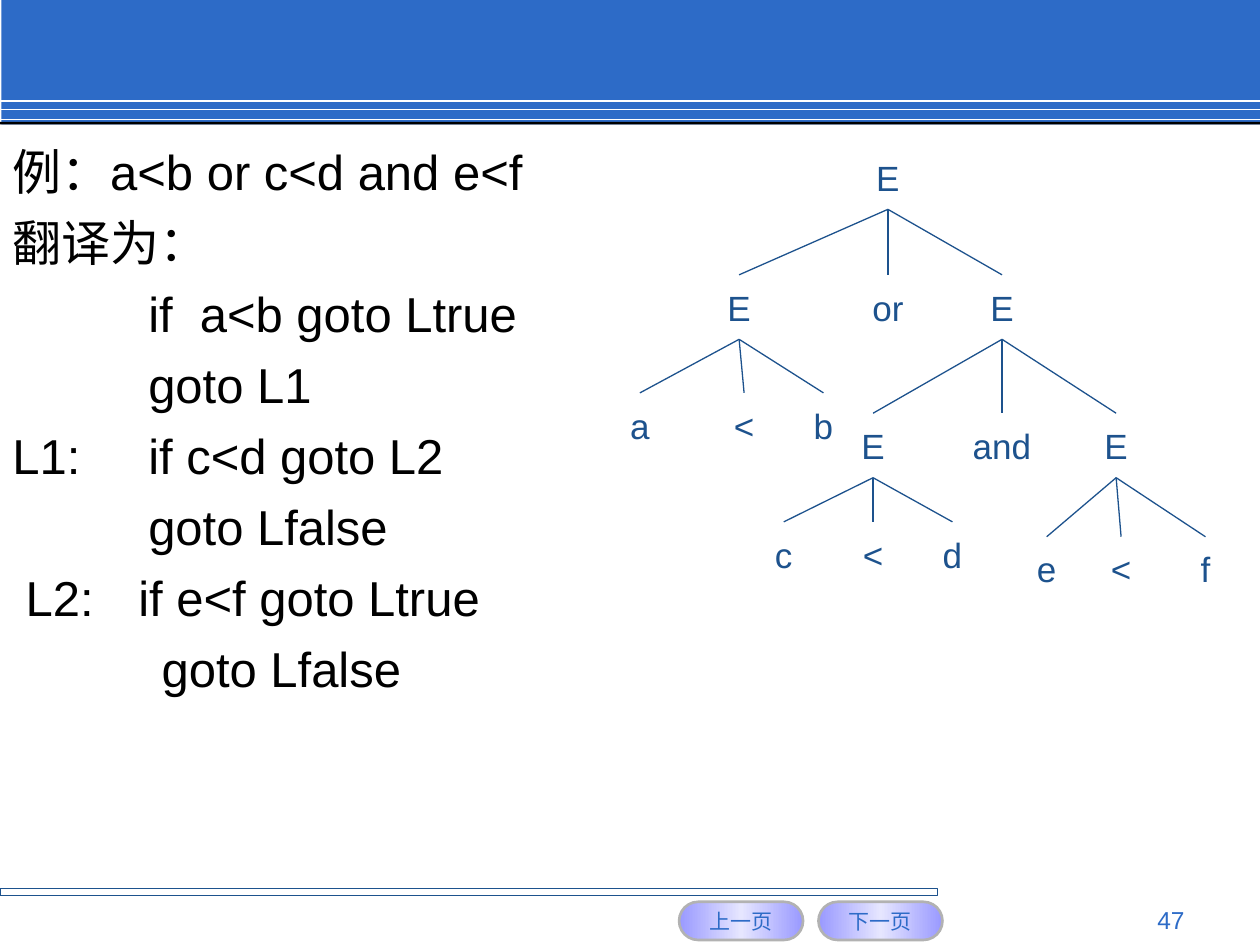
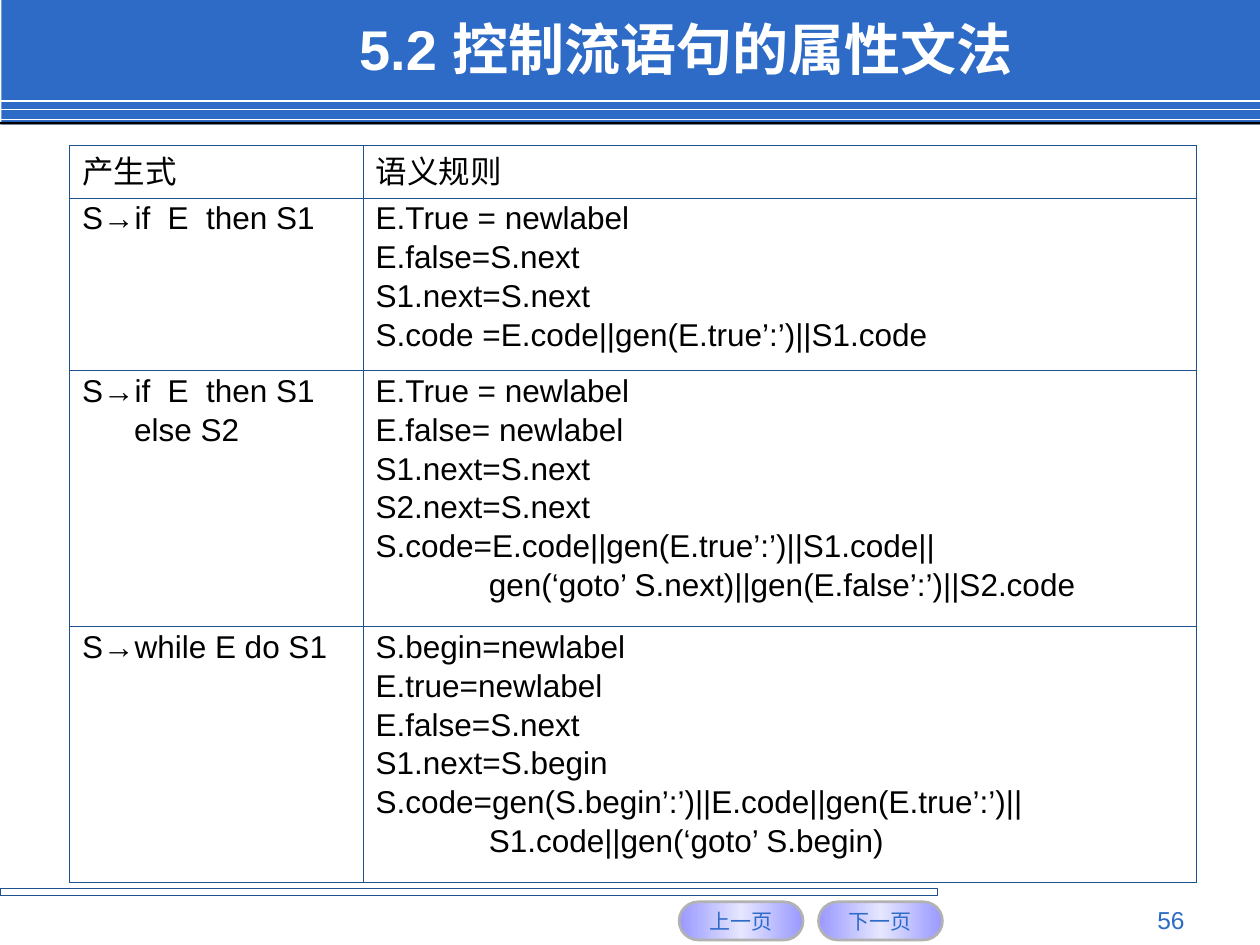
from dataclasses import dataclass
from typing import NamedTuple

from lxml.etree import SubElement
from pptx import Presentation
from pptx.dml.color import RGBColor
from pptx.enum.shapes import MSO_CONNECTOR as Connector, MSO_SHAPE as Preset
from pptx.enum.text import MSO_ANCHOR as Anchor, PP_ALIGN as Align
from pptx.oxml.ns import qn
from pptx.util import Cm, Pt

BLUE, NAVY, WHITE, BLACK = "2D6BC7", "1D528D", "FFFFFF", "000000"
LILAC, PALE_LILAC, GREY = "9999FF", "E6E6FF", "B2B2B2"
LATIN_FONT, CHINESE_FONT = "Arial", "Noto Sans CJK SC"
PAGE_WIDTH, PAGE_HEIGHT = 25.4, 19.05
NODE_WIDTH, NODE_HEIGHT = 2.2, 1.3


class Area(NamedTuple):
    """Left, top, width and height in centimetres."""
    left: float
    top: float
    width: float
    height: float

    def lengths(self) -> list:
        return [Cm(value) for value in self]


class Line(NamedTuple):
    """One paragraph with its first-line indent in centimetres."""
    text: str
    indent: float = 0


@dataclass
class Node:
    """A tree label: horizontal centre and top in centimetres."""
    label: str
    center: float
    top: float
    children: tuple = ()


def leaves(labels: str, centers: tuple, top: float) -> tuple:
    return tuple(Node(label, center, top)
                 for label, center in zip(labels, centers))


TREE = Node("E", 17.9, 2.92, (
    Node("E", 14.9, 5.54, leaves("a<b", (12.9, 15, 16.6), 7.92)),
    Node("or", 17.9, 5.54),
    Node("E", 20.2, 5.54, (
        Node("E", 17.6, 8.33, leaves("c<d", (15.8, 17.6, 19.2), 10.52)),
        Node("and", 20.2, 8.33),
        Node("E", 22.5, 8.33, leaves("e<f", (21.1, 22.6, 24.3), 10.82)),
    )),
))

CODE_INDENT = 2.74
EXAMPLE_LINES = [
    Line("例：a<b or c<d and e<f"),
    Line("翻译为："),
    Line("if  a<b goto Ltrue", CODE_INDENT),
    Line("goto L1", CODE_INDENT),
    Line("L1:\tif c<d goto L2"),
    Line("goto Lfalse", CODE_INDENT),
    Line("L2:\tif e<f goto Ltrue", 0.27),
    Line("goto Lfalse", CODE_INDENT + 0.27),
]

RULE_INDENT = 2.28
GRAMMAR_ROWS = [
    ([Line("产生式")], [Line("语义规则")]),
    ([Line("S→if  E  then S1")],
     [Line("E.True = newlabel"),
      Line("E.false=S.next"),
      Line("S1.next=S.next"),
      Line("S.code =E.code||gen(E.true’:’)||S1.code")]),
    ([Line("S→if  E  then S1"), Line("else S2", 1.05)],
     [Line("E.True = newlabel"),
      Line("E.false= newlabel"),
      Line("S1.next=S.next"),
      Line("S2.next=S.next"),
      Line("S.code=E.code||gen(E.true’:’)||S1.code||"),
      Line("gen(‘goto’ S.next)||gen(E.false’:’)||S2.code", RULE_INDENT)]),
    ([Line("S→while E do S1")],
     [Line("S.begin=newlabel"),
      Line("E.true=newlabel"),
      Line("E.false=S.next"),
      Line("S1.next=S.begin"),
      Line("S.code=gen(S.begin’:’)||E.code||gen(E.true’:’)||"),
      Line("S1.code||gen(‘goto’ S.begin)", RULE_INDENT)]),
]
COLUMN_WIDTHS = (5.92, 16.79)
ROW_HEIGHTS = (1.07, 3.48, 5.16, 5.16)


def color(value: str) -> RGBColor:
    return RGBColor.from_string(value)


def write_text(frame, lines: list, *, size: float, fill: str = BLACK,
               bold: bool = False, align=Align.LEFT, spacing=None,
               before: float = 0, tab: float = 0) -> None:
    for index, line in enumerate(lines):
        para = frame.paragraphs[0] if index == 0 else frame.add_paragraph()
        properties = para._p.get_or_add_pPr()
        if line.indent:
            properties.set("marL", "0")
            properties.set("indent", str(Cm(line.indent)))
        para.alignment = align
        if spacing:
            para.line_spacing = spacing
        if before and index:
            para.space_before = Pt(before)
        if tab:
            stops = SubElement(properties, qn("a:tabLst"))
            SubElement(stops, qn("a:tab"), pos=str(Cm(tab)), algn="l")
        span = para.add_run()
        span.text = line.text
        span.font.size = Pt(size)
        span.font.bold = bold
        span.font.color.rgb = color(fill)
        span.font.name = LATIN_FONT
        SubElement(span._r.get_or_add_rPr(), qn("a:ea"), typeface=CHINESE_FONT)


def add_text(page, area: Area, lines: list, *, anchor=Anchor.TOP,
             **text_format):
    frame = page.shapes.add_textbox(*area.lengths()).text_frame
    frame.word_wrap = True
    frame.vertical_anchor = anchor
    write_text(frame, lines, **text_format)
    return frame


def add_line(page, start: tuple, end: tuple, stroke: str, width: float) -> None:
    points = [Cm(value) for value in (*start, *end)]
    line = page.shapes.add_connector(Connector.STRAIGHT, *points)
    line.line.color.rgb = color(stroke)
    line.line.width = Pt(width)
    SubElement(line._element.spPr, qn("a:effectLst"))


def add_box(page, area: Area, *, preset=Preset.RECTANGLE, fill: str = "",
            stroke: str = "", width: float = 0.75):
    box = page.shapes.add_shape(preset, *area.lengths())
    box.shadow.inherit = False
    if fill:
        box.fill.solid()
        box.fill.fore_color.rgb = color(fill)
    else:
        box.fill.background()
    if stroke:
        box.line.color.rgb = color(stroke)
        box.line.width = Pt(width)
    else:
        box.line.fill.background()
    return box


def add_button(page, left: float, label: str) -> None:
    button = add_box(page, Area(left, 18.18, 2.5, 0.77), stroke=GREY,
                     preset=Preset.ROUNDED_RECTANGLE, width=1.5)
    button.adjustments[0] = 0.5
    button.fill.gradient()
    button.fill.gradient_angle = 0
    stops = button._element.spPr.find(".//" + qn("a:gsLst"))
    stops.clear()
    for percent, shade in ((0, LILAC), (50, PALE_LILAC), (100, LILAC)):
        stop = SubElement(stops, qn("a:gs"), pos=str(percent * 1000))
        SubElement(stop, qn("a:srgbClr"), val=shade)
    frame = button.text_frame
    frame.word_wrap = False
    frame.vertical_anchor = Anchor.MIDDLE
    write_text(frame, [Line(label)], size=12, fill=BLUE, align=Align.CENTER)


def add_page(deck, number: int):
    """Add a slide with the header band, footer rule, buttons and number."""
    page = deck.slides.add_slide(deck.slide_layouts[6])
    add_box(page, Area(0.03, 0, PAGE_WIDTH - 0.03, 2.51), fill=BLUE)
    for height in (2.03, 2.21, 2.41):
        add_line(page, (0, height), (PAGE_WIDTH, height), WHITE, 1)
    add_box(page, Area(0, 2.46, PAGE_WIDTH, 0.05), fill=BLACK)
    add_box(page, Area(0, 17.91, 18.9, 0.15), stroke=NAVY)
    add_button(page, 13.69, "上一页")
    add_button(page, 16.5, "下一页")
    add_text(page, Area(18.21, 18.11, 5.92, 0.69), [Line(str(number))],
             size=14, fill=BLUE, align=Align.RIGHT)
    return page


def draw_tree(page, node: Node) -> None:
    area = Area(node.center - NODE_WIDTH / 2, node.top, NODE_WIDTH, NODE_HEIGHT)
    add_text(page, area, [Line(node.label)], size=20, fill=NAVY,
             align=Align.CENTER, anchor=Anchor.MIDDLE)
    for child in node.children:
        add_line(page, (node.center, node.top + NODE_HEIGHT),
                 (child.center, child.top), NAVY, 0.75)
        draw_tree(page, child)


def set_borders(cell, stroke: str, width: float) -> None:
    properties = cell._tc.get_or_add_tcPr()
    for index, side in enumerate(("lnL", "lnR", "lnT", "lnB")):
        border = properties.makeelement(qn(f"a:{side}"), w=str(Pt(width)))
        properties.insert(index, border)
        paint = SubElement(border, qn("a:solidFill"))
        SubElement(paint, qn("a:srgbClr"), val=stroke)


def add_grammar_table(page) -> None:
    area = Area(1.4, 2.92, sum(COLUMN_WIDTHS), sum(ROW_HEIGHTS))
    table = page.shapes.add_table(
        len(ROW_HEIGHTS), len(COLUMN_WIDTHS), *area.lengths()).table
    table.first_row = table.horz_banding = False
    for column, width in zip(table.columns, COLUMN_WIDTHS):
        column.width = Cm(width)
    for row, height, contents in zip(table.rows, ROW_HEIGHTS, GRAMMAR_ROWS):
        row.height = Cm(height)
        for cell, lines in zip(row.cells, contents):
            cell.fill.background()
            set_borders(cell, NAVY, 0.45)
            write_text(cell.text_frame, lines, size=18, spacing=0.9, before=4.1)


def build_example_page(deck) -> None:
    page = add_page(deck, 47)
    frame = add_text(page, Area(0, 2.62, PAGE_WIDTH, 15.19), EXAMPLE_LINES,
                     size=28, spacing=Pt(40.5), tab=CODE_INDENT)
    frame.margin_top = 0
    draw_tree(page, TREE)


def build_grammar_page(deck) -> None:
    page = add_page(deck, 56)
    add_text(page, Area(6.99, 0.23, 17.58, 1.47),
             [Line("5.2 控制流语句的属性文法")],
             size=32, fill=WHITE, bold=True, anchor=Anchor.MIDDLE)
    add_grammar_table(page)


def main() -> None:
    deck = Presentation()
    deck.slide_width, deck.slide_height = Cm(PAGE_WIDTH), Cm(PAGE_HEIGHT)
    build_example_page(deck)
    build_grammar_page(deck)
    deck.save("out.pptx")


if __name__ == "__main__":
    main()
